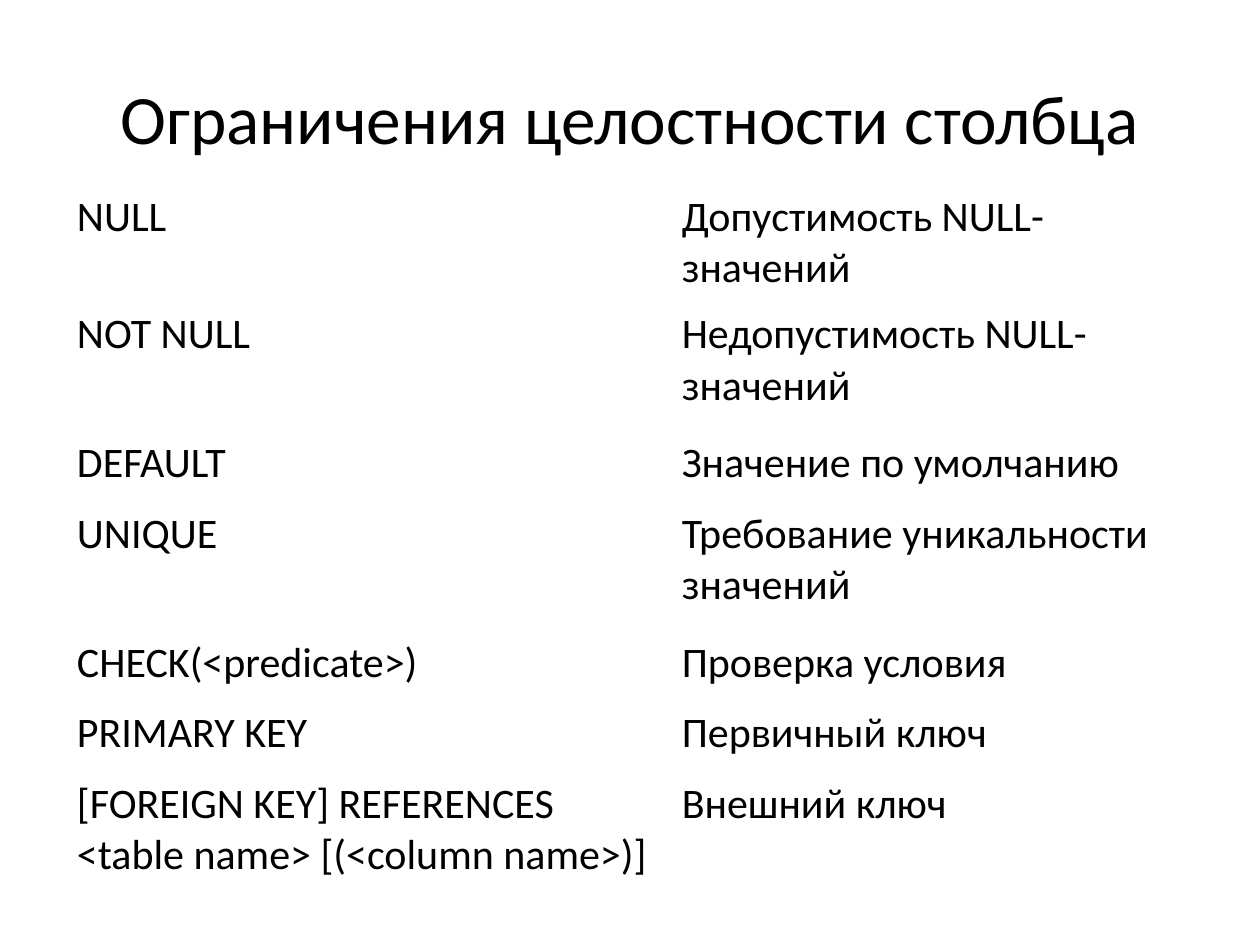
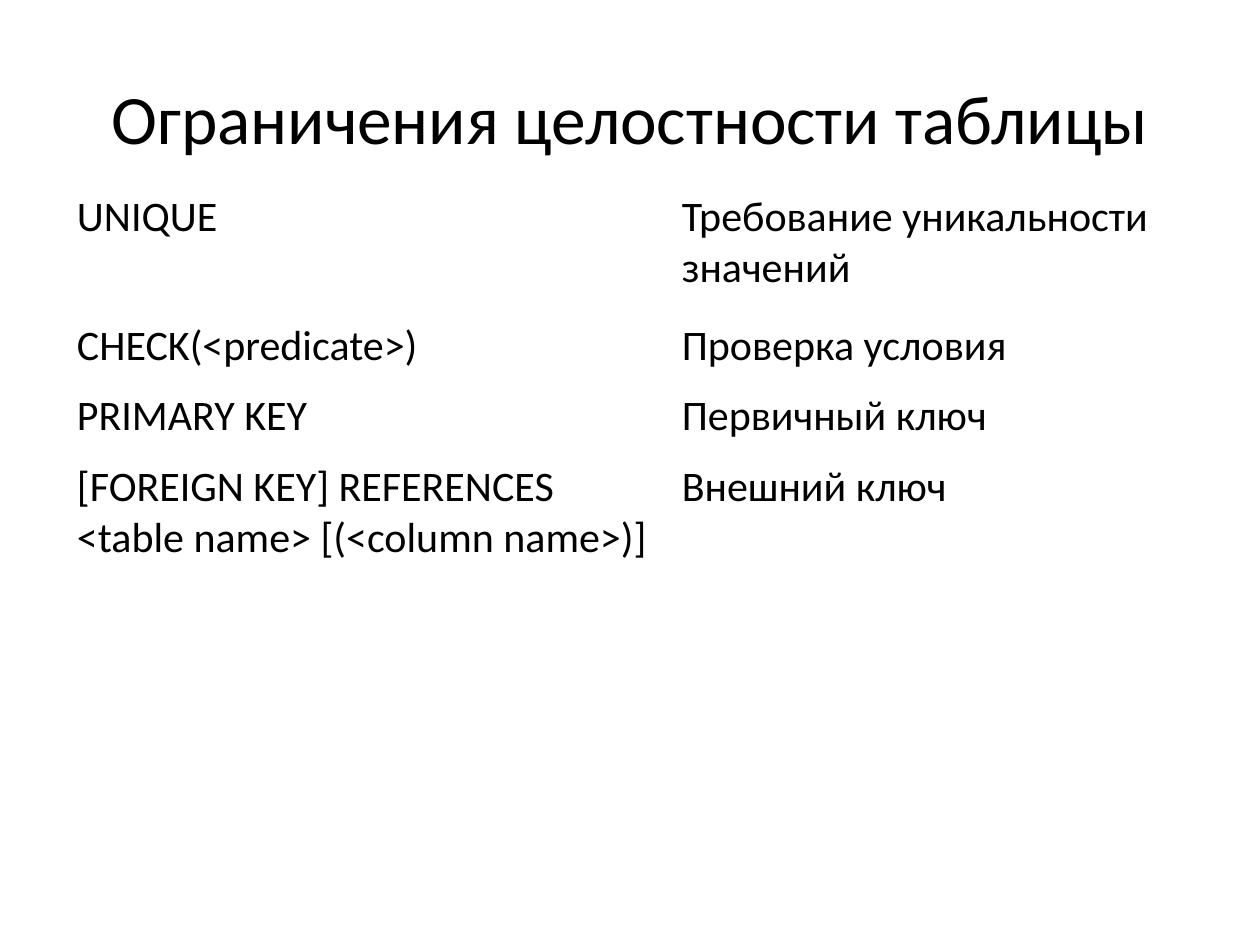
import pptx
import pptx.dml.color
import pptx.enum.text
import pptx.util

Pt = pptx.util.Pt

COLUMN_WIDTHS = (345.6, 312.8)
TABLE_ROWS = (
    (73.6, "UNIQUE", "Требование уникальности значений"),
    (40.4, "CHECK(<predicate>)", "Проверка условия"),
    (40.4, "PRIMARY KEY", "Первичный ключ"),
    (67.2, "[FOREIGN KEY] REFERENCES <table name> [(<column name>)]", "Внешний ключ"),
)
COLUMN_ROWS = (
    (67.2, "NULL", "Допустимость NULL-значений"),
    (73.6, "NOT NULL", "Недопустимость NULL-значений"),
    (40.4, "DEFAULT", "Значение по умолчанию"),
) + TABLE_ROWS


def color(value):
    return pptx.dml.color.RGBColor.from_string(value)


class Deck:
    """Hold the shared style and the slide being built."""

    font_name = "Calibri"
    text_color = "000000"
    title_size = 39.6
    cell_size = 24

    def __init__(self):
        self.presentation = pptx.Presentation()
        self.presentation.slide_width = Pt(720)
        self.presentation.slide_height = Pt(540)
        self.slide = None

    def add_slide(self):
        self.slide = self.presentation.slides.add_slide(self.presentation.slide_layouts[6])

    def add_run(self, paragraph, text, size):
        run = paragraph.add_run()
        run.text = text
        run.font.name = self.font_name
        run.font.size = Pt(size)
        run.font.color.rgb = color(self.text_color)

    def add_title(self, text):
        shape = self.slide.shapes.add_textbox(Pt(36), Pt(21.6), Pt(648), Pt(90))
        frame = shape.text_frame
        frame.word_wrap = True
        frame.vertical_anchor = pptx.enum.text.MSO_ANCHOR.MIDDLE
        paragraph = frame.paragraphs[0]
        paragraph.alignment = pptx.enum.text.PP_ALIGN.CENTER
        self.add_run(paragraph, text, self.title_size)

    def add_table(self, rows):
        height = sum(row[0] for row in rows)
        shape = self.slide.shapes.add_table(
            len(rows), len(COLUMN_WIDTHS),
            Pt(36.8), Pt(105.8), Pt(sum(COLUMN_WIDTHS)), Pt(height))
        table = shape.table
        table.first_row = False
        table.horz_banding = False
        for column, width in zip(table.columns, COLUMN_WIDTHS):
            column.width = Pt(width)
        for table_row, (row_height, *texts) in zip(table.rows, rows):
            table_row.height = Pt(row_height)
            for cell, text in zip(table_row.cells, texts):
                cell.fill.background()
                self.add_run(cell.text_frame.paragraphs[0], text, self.cell_size)


def main():
    deck = Deck()
    for title, rows in (
        ("Ограничения целостности столбца", COLUMN_ROWS),
        ("Ограничения целостности таблицы", TABLE_ROWS),
    ):
        deck.add_slide()
        deck.add_title(title)
        deck.add_table(rows)
    deck.presentation.save("out.pptx")


if __name__ == "__main__":
    main()
